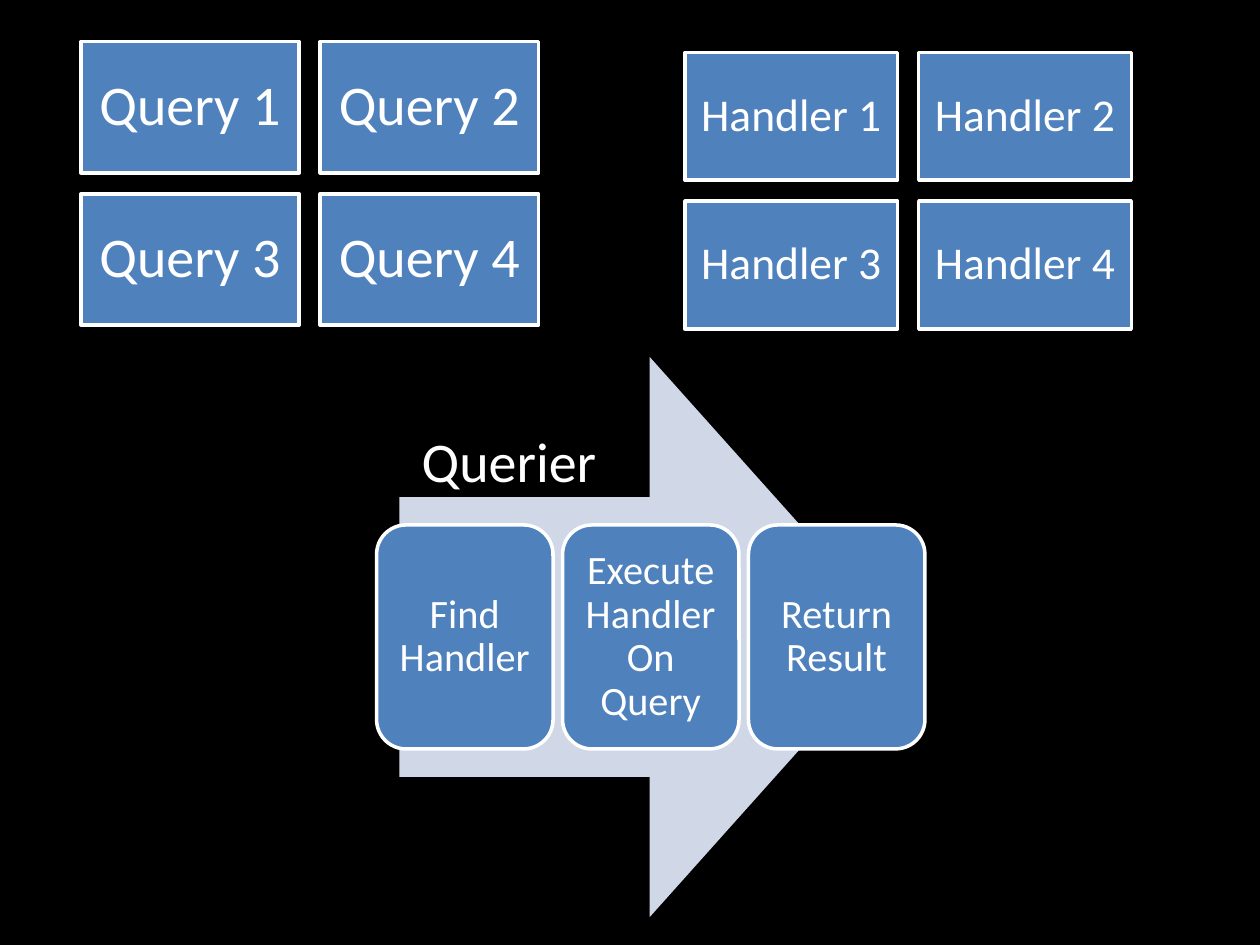
from dataclasses import dataclass

from pptx import Presentation
from pptx.dml.color import RGBColor
from pptx.enum.shapes import MSO_SHAPE
from pptx.enum.text import MSO_ANCHOR, PP_ALIGN
from pptx.util import Pt


@dataclass(frozen=True)
class Theme:
    background: RGBColor = RGBColor(0x00, 0x00, 0x00)
    tile: RGBColor = RGBColor(0x4F, 0x81, 0xBD)
    arrow: RGBColor = RGBColor(0xD0, 0xD8, 0xE8)
    light: RGBColor = RGBColor(0xFF, 0xFF, 0xFF)
    font: str = "Calibri"
    query_size: int = 32
    handler_size: int = 26
    step_size: int = 23
    label_size: int = 32


@dataclass(frozen=True)
class Box:
    """A rectangle in points."""
    left: float
    top: float
    width: float
    height: float

    def lengths(self):
        return Pt(self.left), Pt(self.top), Pt(self.width), Pt(self.height)

    def cell(self, index, columns, rows, gap):
        """Return one cell of an even grid, counted row by row."""
        width = (self.width - gap * (columns - 1)) / columns
        height = (self.height - gap * (rows - 1)) / rows
        row, column = divmod(index, columns)
        return Box(self.left + column * (width + gap),
                   self.top + row * (height + gap), width, height)


THEME = Theme()


def format_text(para, size):
    for span in para.runs:
        span.font.name = THEME.font
        span.font.size = Pt(size)
        span.font.color.rgb = THEME.light


def add_plain_shape(page, kind, box, color):
    shape = page.shapes.add_shape(kind, *box.lengths())
    shape.shadow.inherit = False
    shape.fill.solid()
    shape.fill.fore_color.rgb = color
    shape.line.fill.background()
    return shape


def add_tile(page, kind, box, text, size, inset):
    tile = add_plain_shape(page, kind, box, THEME.tile)
    tile.line.color.rgb = THEME.light
    tile.line.width = Pt(2)
    frame = tile.text_frame
    frame.text = text
    frame.word_wrap = True
    frame.vertical_anchor = MSO_ANCHOR.MIDDLE
    frame.margin_left = frame.margin_right = Pt(inset)
    frame.margin_top = frame.margin_bottom = Pt(inset)
    para = frame.paragraphs[0]
    para.alignment = PP_ALIGN.CENTER
    para.line_spacing = 0.9
    format_text(para, size)


def add_tile_grid(page, box, name, size, inset):
    """Place four numbered tiles, two by two."""
    for index in range(4):
        add_tile(page, MSO_SHAPE.RECTANGLE, box.cell(index, 2, 2, gap=12),
                 f"{name} {index + 1}", size, inset)


def add_querier(page, box):
    """Place the labelled arrow with its row of steps."""
    arrow = Box(box.left + 13, box.top, box.width - 27.2, box.height)
    add_plain_shape(page, MSO_SHAPE.RIGHT_ARROW, arrow, THEME.arrow)

    steps = ("Find Handler", "Execute Handler On Query", "Return Result")
    row_height = box.height * 0.4
    row = Box(box.left, box.top + (box.height - row_height) / 2,
              box.width, row_height)
    for index, step in enumerate(steps):
        add_tile(page, MSO_SHAPE.ROUNDED_RECTANGLE,
                 row.cell(index, len(steps), 1, gap=5.4),
                 step, THEME.step_size, inset=7)

    label_box = Box(box.left + 18.7, box.top + 36, 144, 46)
    label = page.shapes.add_textbox(*label_box.lengths())
    label.text_frame.word_wrap = True
    label.text_frame.text = "Querier"
    format_text(label.text_frame.paragraphs[0], THEME.label_size)


def main():
    deck = Presentation()
    deck.slide_width, deck.slide_height = Pt(720), Pt(540)
    page = deck.slides.add_slide(deck.slide_layouts[6])
    page.background.fill.solid()
    page.background.fill.fore_color.rgb = THEME.background

    add_tile_grid(page, Box(46.2, 23.8, 261.6, 162), "Query",
                  THEME.query_size, inset=9)
    add_tile_grid(page, Box(391.5, 30, 255, 158), "Handler",
                  THEME.handler_size, inset=8)
    add_querier(page, Box(215.2, 204, 313.4, 320))
    deck.save("out.pptx")


if __name__ == "__main__":
    main()
